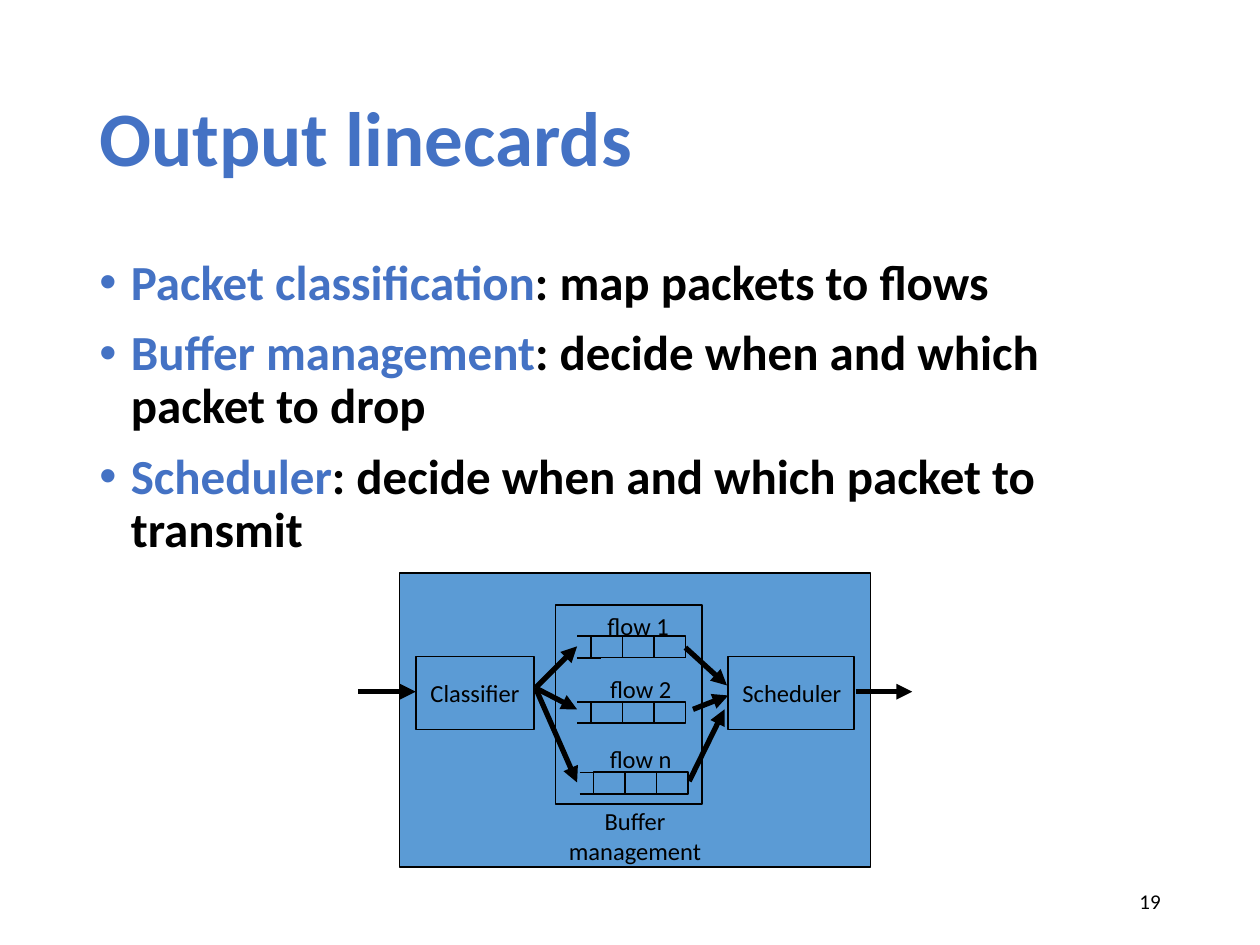
import pptx
import pptx.util
import pptx.dml.color
import pptx.enum.shapes
import pptx.enum.text
import pptx.oxml.ns
from lxml import etree

Inches, Pt = pptx.util.Inches, pptx.util.Pt
RGBColor = pptx.dml.color.RGBColor
ALIGN = pptx.enum.text.PP_ALIGN
ANCHOR = pptx.enum.text.MSO_ANCHOR
qn = pptx.oxml.ns.qn

BLACK = RGBColor(0, 0, 0)
ACCENT = RGBColor(0x44, 0x72, 0xC4)
PANEL = RGBColor(0x5B, 0x9B, 0xD5)
FONT = "Calibri"

TITLE = "Output linecards"
PAGE_NUMBER = "19"
BULLETS = [
    ("Packet classification", ": map packets to flows"),
    ("Buffer management", ": decide when and which packet to drop"),
    ("Scheduler", ": decide when and which packet to transmit"),
]

# left, top, width, height, fill
BOXES = [
    (3.17, 4.55, 3.74, 2.33, PANEL),  # linecard
    (4.41, 4.8, 1.16, 1.58, PANEL),  # buffer management
    (5.78, 5.21, 1, 0.58, None),  # scheduler
    (3.3, 5.21, 0.94, 0.58, None),  # classifier
]
# text, left, top, width, height, wrap
LABELS = [
    ("Classifier", 3.31, 5.33, 0.92, 0.33, False),
    ("Scheduler", 5.79, 5.33, 0.99, 0.33, False),
    ("flow 1", 4.71, 4.8, 0.71, 0.33, False),
    ("flow 2", 4.73, 5.3, 0.71, 0.33, False),
    ("flow n", 4.73, 5.86, 0.71, 0.33, False),
    ("Buffer management", 4.2, 6.35, 1.68, 0.57, True),
]
QUEUES = [(4.58, 5.05), (4.58, 5.57), (4.6, 6.13)]  # left, top
QUEUE_HEIGHT = 0.17
CELL_START, CELL_WIDTH, CELL_COUNT = 0.11, 0.25, 3
TAIL_LENGTH = 0.19

CLASSIFIER_EXIT = (4.25, 5.46)
ARROWS = [
    ((2.84, 5.49), (3.3, 5.49)),
    (CLASSIFIER_EXIT, (4.58, 5.13)),
    (CLASSIFIER_EXIT, (4.58, 5.63)),
    (CLASSIFIER_EXIT, (4.58, 6.21)),
    ((5.44, 5.14), (5.77, 5.44)),
    ((5.5, 5.63), (5.78, 5.52)),
    ((5.47, 6.2), (5.75, 5.63)),
    ((6.79, 5.49), (7.24, 5.49)),
]


def add_text(slide, text, left, top, width, height, size, color=BLACK, bold=False,
             align=ALIGN.LEFT, anchor=ANCHOR.TOP, wrap=True):
    box = slide.shapes.add_textbox(*map(Inches, (left, top, width, height)))
    frame = box.text_frame
    frame.word_wrap = wrap
    frame.vertical_anchor = anchor
    paragraph = frame.paragraphs[0]
    paragraph.text = text
    paragraph.alignment = align
    set_font(paragraph.font, size, color, bold)
    return frame


def set_font(font, size, color, bold):
    font.name, font.size, font.bold = FONT, Pt(size), bold
    font.color.rgb = color


def add_bullets(slide):
    frame = add_text(slide, "", 0.69, 2, 8.62, 4.76, 28)
    for index, (term, meaning) in enumerate(BULLETS):
        paragraph = frame.add_paragraph() if index else frame.paragraphs[0]
        set_font(paragraph.font, 28, BLACK, True)
        paragraph.line_spacing = 0.9
        paragraph.space_before = Pt(10)
        for text, color in ((term, ACCENT), (meaning, BLACK)):
            run = paragraph.add_run()
            run.text = text
            run.font.color.rgb = color
        properties = paragraph._p.get_or_add_pPr()
        properties.set("marL", str(Inches(0.25)))
        properties.set("indent", str(-Inches(0.25)))
        bullet_font = etree.Element(qn("a:buFont"), typeface="Arial")
        bullet = etree.Element(qn("a:buChar"), char="•")
        default_font = properties.find(qn("a:defRPr"))
        default_font.addprevious(bullet_font)
        default_font.addprevious(bullet)


def add_box(shapes, left, top, width, height, fill=None):
    shape = shapes.add_shape(pptx.enum.shapes.MSO_SHAPE.RECTANGLE,
                             *map(Inches, (left, top, width, height)))
    shape.shadow.inherit = False
    if fill is None:
        shape.fill.background()
    else:
        shape.fill.solid()
        shape.fill.fore_color.rgb = fill
    shape.line.color.rgb = BLACK
    shape.line.width = Pt(1)


def add_line(shapes, start, end, width=1, arrow=False):
    line = shapes.add_connector(pptx.enum.shapes.MSO_CONNECTOR.STRAIGHT,
                                *map(Inches, (*start, *end)))
    line.line.color.rgb = BLACK
    line.line.width = Pt(width)
    if arrow:
        etree.SubElement(line.line._get_or_add_ln(), qn("a:tailEnd"), type="triangle")
    etree.SubElement(line._element.spPr, qn("a:effectLst"))


def add_queue(slide, left, top):
    """Draw a row of cells, open at the left end."""
    shapes = slide.shapes.add_group_shape().shapes
    first = left + CELL_START
    bottom = top + QUEUE_HEIGHT
    add_box(shapes, first, top, CELL_WIDTH * CELL_COUNT, QUEUE_HEIGHT)
    for index in range(1, CELL_COUNT + 1):
        x = first + index * CELL_WIDTH
        add_line(shapes, (x, top), (x, bottom))
    for y in (top, bottom):
        add_line(shapes, (left, y), (left + TAIL_LENGTH, y))


def main():
    presentation = pptx.Presentation()
    presentation.slide_width, presentation.slide_height = Inches(10), Inches(7.5)
    slide = presentation.slides.add_slide(presentation.slide_layouts[6])

    title = add_text(slide, TITLE, 0.69, 0.4, 8.62, 1.45, 44, ACCENT, True,
                     anchor=ANCHOR.MIDDLE)
    title.paragraphs[0].line_spacing = 0.9
    add_bullets(slide)
    for box in BOXES:
        add_box(slide.shapes, *box)
    for left, top in QUEUES:
        add_queue(slide, left, top)
    for text, left, top, width, height, wrap in LABELS:
        add_text(slide, text, left, top, width, height, 14,
                 align=ALIGN.CENTER, wrap=wrap)
    for start, end in ARROWS:
        add_line(slide.shapes, start, end, 3, arrow=True)
    add_text(slide, PAGE_NUMBER, 7.06, 6.95, 2.25, 0.4, 12,
             align=ALIGN.RIGHT, anchor=ANCHOR.MIDDLE)

    presentation.save("out.pptx")


if __name__ == "__main__":
    main()
